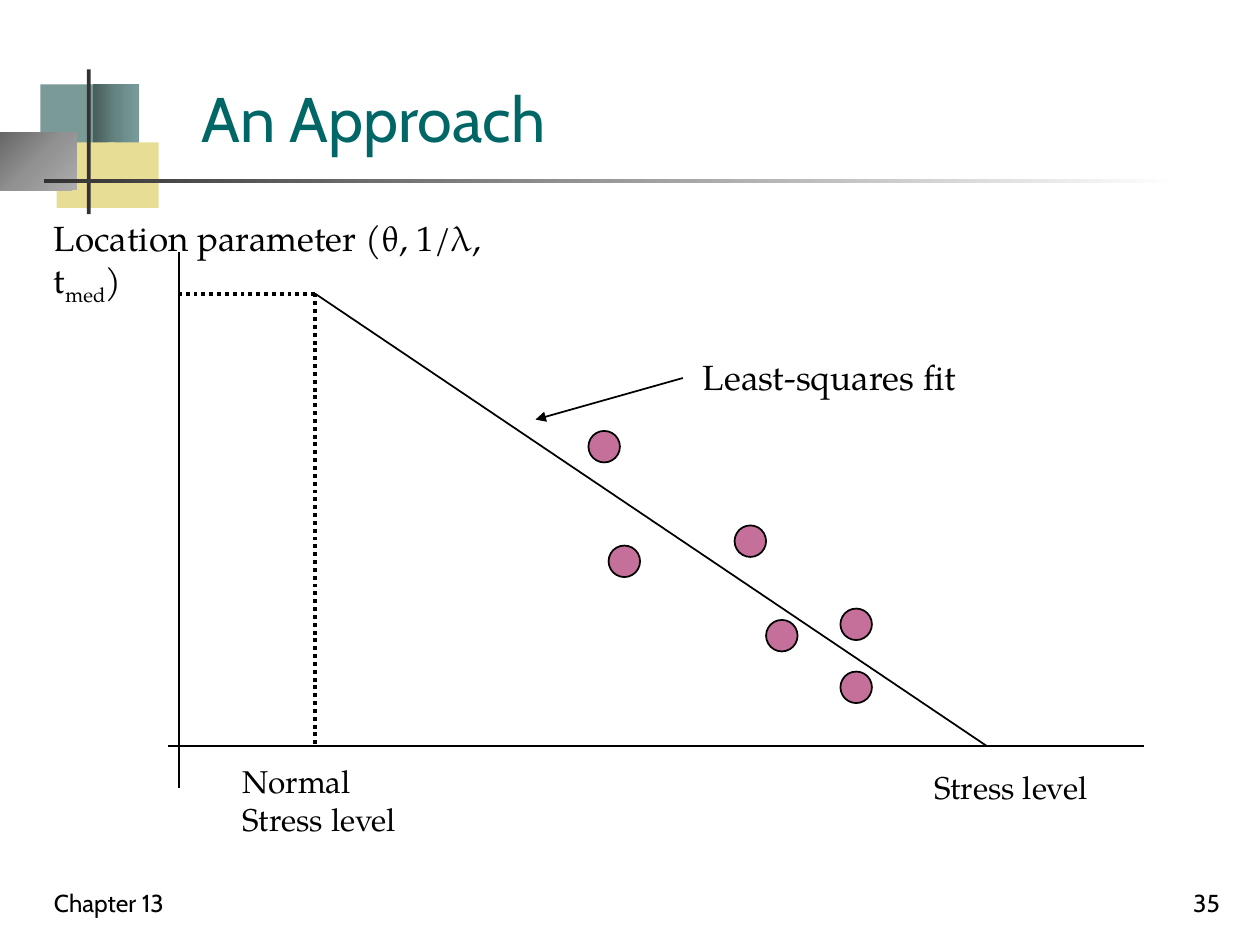
import pptx
import pptx.util
import pptx.dml.color
import pptx.enum.dml
import pptx.enum.shapes
import pptx.enum.text
import pptx.oxml
import pptx.oxml.ns
from dataclasses import dataclass
from lxml import etree

Inches = pptx.util.Inches
SHAPES = pptx.enum.shapes.MSO_SHAPE
ANCHOR = pptx.enum.text.MSO_ANCHOR
ALIGN = pptx.enum.text.PP_ALIGN
DOTTED = pptx.enum.dml.MSO_LINE.ROUND_DOT


@dataclass(frozen=True)
class Theme:
    heading_font: str = "Cabin"
    body_font: str = "TeX Gyre Pagella"
    title: str = "006666"
    ink: str = "000000"
    point: str = "C4709A"
    teal: str = "7A9A98"
    yellow: str = "E7DD95"
    bar: str = "333333"
    teal_fade: tuple = ((0, "475D5B"), (50, "658482"), (100, "789C9A"))
    grey_fade: tuple = ((0, "676767"), (50, "929292"), (100, "ADADAD"))
    rule_fade: tuple = ((0, "333333"), (100, "FFFFFF"))
    title_size: int = 36
    label_size: int = 20
    axis_size: int = 18
    footer_size: int = 14
    thin: float = 1
    thick: float = 2.25


def rgb(value):
    return pptx.dml.color.RGBColor.from_string(value)


def set_all(target, values):
    for name, value in values.items():
        setattr(target, name, value)


class SlideBuilder:
    def __init__(self, page, theme):
        self.page = page
        self.theme = theme

    def shape(self, kind, left, top, width, height, fill, outline=None, radial=False):
        """Add a preset shape; fill is a colour or a tuple of gradient stops."""
        item = self.page.shapes.add_shape(
            kind, Inches(left), Inches(top), Inches(width), Inches(height))
        item.shadow.inherit = False
        if isinstance(fill, str):
            item.fill.solid()
            item.fill.fore_color.rgb = rgb(fill)
        else:
            self.gradient(item, fill, radial)
        if outline:
            item.line.color.rgb = rgb(outline)
            item.line.width = pptx.util.Pt(self.theme.thin)
        else:
            item.line.fill.background()

    def gradient(self, item, stops, radial):
        marks = "".join(
            f'<a:gs pos="{position * 1000}"><a:srgbClr val="{colour}"/></a:gs>'
            for position, colour in stops)
        direction = ('<a:path path="circle"><a:fillToRect r="100000" b="100000"/></a:path>'
                     if radial else '<a:lin ang="0" scaled="0"/>')
        fade = pptx.oxml.parse_xml(
            f'<a:gradFill {pptx.oxml.ns.nsdecls("a")} rotWithShape="1">'
            f"<a:gsLst>{marks}</a:gsLst>{direction}</a:gradFill>")
        geometry = item.element.spPr.find(pptx.oxml.ns.qn("a:prstGeom"))
        geometry.addnext(fade)

    def line(self, start, end, dotted=False, arrow=False):
        item = self.page.shapes.add_connector(
            pptx.enum.shapes.MSO_CONNECTOR.STRAIGHT, *map(Inches, start + end))
        item.line.color.rgb = rgb(self.theme.ink)
        item.line.width = pptx.util.Pt(self.theme.thick if dotted else self.theme.thin)
        if dotted:
            item.line.dash_style = DOTTED
        properties = item.element.spPr
        if arrow:
            outline = properties.find(pptx.oxml.ns.qn("a:ln"))
            etree.SubElement(outline, pptx.oxml.ns.qn("a:tailEnd"), type="triangle")
        etree.SubElement(properties, pptx.oxml.ns.qn("a:effectLst"))

    def text(self, left, top, width, height, lines, size, font=None, colour=None,
             anchor=ANCHOR.TOP, align=ALIGN.LEFT, wrap=True):
        """Add a text box; a line is a list of pieces, and "_" starts a subscript."""
        box = self.page.shapes.add_textbox(
            Inches(left), Inches(top), Inches(width), Inches(height))
        frame = box.text_frame
        set_all(frame, {"word_wrap": wrap, "vertical_anchor": anchor})
        for index, pieces in enumerate(lines):
            para = frame.add_paragraph() if index else frame.paragraphs[0]
            para.alignment = align
            for piece in pieces:
                span = para.add_run()
                span.text = piece.removeprefix("_")
                set_all(span.font, {"name": font or self.theme.body_font,
                                    "size": pptx.util.Pt(size)})
                span.font.color.rgb = rgb(colour or self.theme.ink)
                if piece.startswith("_"):
                    span.font._element.set("baseline", "-25000")


def draw_decoration(slide):
    theme = slide.theme
    block = SHAPES.RECTANGLE
    slide.shape(block, 0.32, 0.67, 0.48, 0.52, theme.teal)
    slide.shape(block, 0.74, 0.67, 0.36, 0.52, theme.teal_fade)
    slide.shape(block, 0.45, 1.13, 0.46, 0.52, theme.yellow)
    slide.shape(block, 0.86, 1.13, 0.4, 0.52, theme.yellow)
    slide.shape(block, 0, 1.05, 0.61, 0.46, theme.grey_fade, radial=True)
    slide.shape(block, 0.69, 0.55, 0.03, 1.15, theme.bar)
    slide.shape(block, 0.35, 1.42, 9, 0.03, theme.rule_fade)


def draw_headings(slide):
    theme = slide.theme
    heading = {"font": theme.heading_font, "anchor": ANCHOR.BOTTOM}
    slide.text(1.5, 0.42, 7.77, 0.86, [["An Approach"]], theme.title_size,
               colour=theme.title, **heading)
    slide.text(0.33, 6.83, 2.08, 0.5, [["Chapter 13"]], theme.footer_size, **heading)
    slide.text(7.7, 6.83, 2.08, 0.5, [["35"]], theme.footer_size,
               align=ALIGN.RIGHT, **heading)


def draw_plot(slide):
    theme = slide.theme
    axis_x, axis_y = 1.42, 5.92
    normal_stress = (2.5, 2.33)
    slide.line((axis_x, 2), (axis_x, 6.25))
    slide.line((1.33, axis_y), (9.08, axis_y))
    slide.line((7.83, axis_y), normal_stress)
    slide.line(normal_stress, (normal_stress[0], axis_y), dotted=True)
    slide.line(normal_stress, (axis_x, normal_stress[1]), dotted=True)
    slide.line((5.42, 3), (4.25, 3.33), arrow=True)

    points = [(4.67, 3.42), (4.83, 4.33), (5.83, 4.17),
              (6.08, 4.92), (6.67, 4.83), (6.67, 5.33)]
    for left, top in points:
        slide.shape(SHAPES.OVAL, left, top, 0.25, 0.25, theme.point, theme.ink)

    slide.text(0.33, 1.67, 4.1, 0.77,
               [["Location parameter (θ, 1/λ, t", "_med", ")"]], theme.label_size)
    slide.text(5.48, 2.77, 2.22, 0.43, [["Least-squares fit"]],
               theme.label_size, wrap=False)
    slide.text(7.32, 6.05, 1.43, 0.4, [["Stress level"]], theme.axis_size, wrap=False)
    slide.text(1.83, 6, 1.43, 0.7, [["Normal"], ["Stress level"]],
               theme.axis_size, wrap=False)


def main():
    deck = pptx.Presentation()
    set_all(deck, {"slide_width": Inches(10), "slide_height": Inches(7.5)})
    slide = SlideBuilder(deck.slides.add_slide(deck.slide_layouts[6]), Theme())
    draw_decoration(slide)
    draw_headings(slide)
    draw_plot(slide)
    deck.save("out.pptx")


if __name__ == "__main__":
    main()
